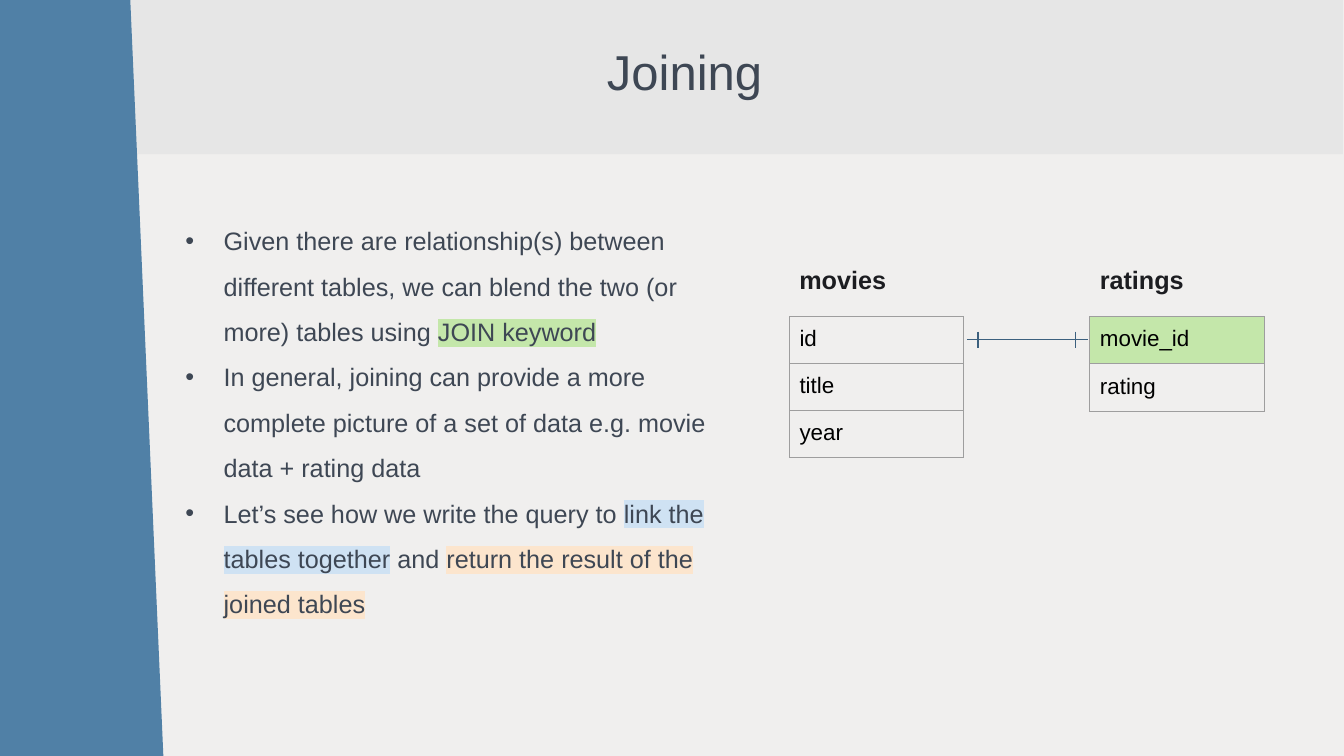
from dataclasses import dataclass

from pptx import Presentation
from pptx.dml.color import RGBColor
from pptx.enum.shapes import MSO_CONNECTOR, MSO_SHAPE
from pptx.enum.text import MSO_ANCHOR, MSO_AUTO_SIZE, PP_ALIGN
from pptx.oxml.ns import qn
from pptx.util import Inches, Pt
from lxml.etree import SubElement


@dataclass(frozen=True)
class Theme:
    """Colours, font and type sizes of the slide."""
    background: str = "F0EFEE"
    band: str = "E6E6E6"
    panel: str = "5080A6"
    text: str = "3E4754"
    heading: str = "1C1D21"
    cell_text: str = "000000"
    border: str = "9E9E9E"
    link: str = "3C607E"
    green: str = "C4E7AA"
    blue: str = "CFE2F3"
    orange: str = "FCE5CD"
    font: str = "Arial"
    title_size: int = 35
    body_size: int = 18
    cell_size: int = 16
    line_width: float = 0.75


THEME = Theme()
BULLETS = [
    [("Given there are relationship(s) between different tables, "
      "we can blend the two (or more) tables using ", None),
     ("JOIN keyword", THEME.green)],
    [("In general, joining can provide a more complete picture "
      "of a set of data e.g. movie data + rating data", None)],
    [("Let’s see how we write the query to ", None),
     ("link the tables together", THEME.blue),
     (" and ", None),
     ("return the result of the joined tables", THEME.orange)],
]
TABLE_TOP, TABLE_WIDTH = 3.14, 1.73


def rgb(color):
    """Turn a hex string into a colour."""
    return RGBColor.from_string(color)


def add_run(paragraph, text, size, color, bold=False, highlight=None):
    """Add one formatted run, optionally highlighted."""
    run = paragraph.add_run()
    run.text = text
    run.font.size = Pt(size)
    run.font.bold = bold
    run.font.color.rgb = rgb(color)
    run.font.name = THEME.font
    if highlight:
        properties = run.font._element
        mark = SubElement(properties, qn("a:highlight"))
        SubElement(mark, qn("a:srgbClr"), val=highlight)
        properties.find(qn("a:solidFill")).addnext(mark)


def add_backdrop(slide, preset, left, top, width, height, color, rotation=0):
    """Add a plain filled shape behind the title."""
    shape = slide.shapes.add_shape(
        preset, Inches(left), Inches(top), Inches(width), Inches(height))
    shape.rotation = rotation
    shape.shadow.inherit = False
    shape.fill.solid()
    shape.fill.fore_color.rgb = rgb(color)
    shape.line.fill.background()
    slide.shapes.title.element.addprevious(shape.element)


def set_title(slide, text):
    """Place and format the title placeholder."""
    title = slide.shapes.title
    title.left, title.top = Inches(1.17), Inches(0.16)
    title.width, title.height = Inches(11.24), Inches(1.16)
    frame = title.text_frame
    frame.auto_size = MSO_AUTO_SIZE.NONE
    frame.vertical_anchor = MSO_ANCHOR.MIDDLE
    paragraph = frame.paragraphs[0]
    paragraph.alignment = PP_ALIGN.CENTER
    paragraph.line_spacing = 0.9
    add_run(paragraph, text, THEME.title_size, THEME.text)


def add_text_frame(slide, left, top, width, height):
    """Add a wrapping text box and return its frame."""
    box = slide.shapes.add_textbox(
        Inches(left), Inches(top), Inches(width), Inches(height))
    box.text_frame.word_wrap = True
    return box.text_frame


def add_bullets(slide, bullets):
    """Add the bulleted body text."""
    frame = add_text_frame(slide, 1.62, 2.04, 5.6, 4.04)
    for index, runs in enumerate(bullets):
        paragraph = frame.add_paragraph() if index else frame.paragraphs[0]
        paragraph.line_spacing = 1.5
        properties = paragraph._p.get_or_add_pPr()
        properties.set("marL", str(Inches(0.5)))
        properties.set("indent", str(Inches(-0.38)))
        bullet_color = SubElement(properties, qn("a:buClr"))
        SubElement(bullet_color, qn("a:srgbClr"), val=THEME.text)
        SubElement(properties, qn("a:buFont"), typeface=THEME.font)
        SubElement(properties, qn("a:buChar"), char="•")
        for text, highlight in runs:
            add_run(paragraph, text, THEME.body_size, THEME.text, highlight=highlight)


def format_cell(cell, text, fill):
    """Write a cell and give it borders, margins and fill."""
    cell.margin_left = cell.margin_right = Inches(0.1)
    cell.margin_top = cell.margin_bottom = Inches(0.1)
    properties = cell._tc.get_or_add_tcPr()
    for side in ("lnL", "lnR", "lnT", "lnB"):
        border = SubElement(properties, qn(f"a:{side}"), w=str(Pt(THEME.line_width)))
        solid = SubElement(border, qn("a:solidFill"))
        SubElement(solid, qn("a:srgbClr"), val=THEME.border)
    if fill:
        cell.fill.solid()
        cell.fill.fore_color.rgb = rgb(fill)
    else:
        cell.fill.background()
    add_run(cell.text_frame.paragraphs[0], text, THEME.cell_size, THEME.cell_text)


def add_schema_table(slide, name, left, row_height, fields):
    """Add a named one-column table of (field, fill) pairs."""
    frame = add_text_frame(slide, left, 2.56, TABLE_WIDTH, 0.47)
    frame.margin_top = frame.margin_bottom = Inches(0.1)
    paragraph = frame.paragraphs[0]
    paragraph.line_spacing = 0.9
    add_run(paragraph, name, THEME.body_size, THEME.heading, bold=True)

    table = slide.shapes.add_table(
        len(fields), 1, Inches(left), Inches(TABLE_TOP),
        Inches(TABLE_WIDTH), Inches(row_height * len(fields))).table
    table.first_row = table.horz_banding = False
    for index, (field, fill) in enumerate(fields):
        format_cell(table.cell(index, 0), field, fill)


def add_line(slide, start_x, start_y, end_x, end_y):
    """Add a thin straight line."""
    line = slide.shapes.add_connector(
        MSO_CONNECTOR.STRAIGHT, Inches(start_x), Inches(start_y),
        Inches(end_x), Inches(end_y))
    line.line.color.rgb = rgb(THEME.link)
    line.line.width = Pt(THEME.line_width)
    SubElement(line.element.spPr, qn("a:effectLst"))


def add_one_to_one_link(slide, left, right, middle):
    """Add a relationship line with a tick near each end."""
    add_line(slide, left, middle, right, middle)
    for tick in (left + 0.11, right - 0.12):
        add_line(slide, tick, middle - 0.08, tick, middle + 0.08)


def main():
    """Build and save the slide."""
    presentation = Presentation()
    presentation.slide_width = Inches(13.33)
    presentation.slide_height = Inches(7.5)
    slide = presentation.slides.add_slide(presentation.slide_layouts[5])
    slide.background.fill.solid()
    slide.background.fill.fore_color.rgb = rgb(THEME.background)

    add_backdrop(slide, MSO_SHAPE.RECTANGLE, -0.01, -0.01, 13.33, 1.54, THEME.band)
    add_backdrop(slide, MSO_SHAPE.FLOWCHART_MANUAL_INPUT,
                 -2.95, 2.93, 7.5, 1.64, THEME.panel, rotation=90)
    set_title(slide, "Joining")
    add_bullets(slide, BULLETS)
    add_schema_table(slide, "movies", 7.83, 0.45,
                     [("id", None), ("title", None), ("year", None)])
    add_schema_table(slide, "ratings", 10.81, 0.47,
                     [("movie_id", THEME.green), ("rating", None)])
    add_one_to_one_link(slide, 9.59, 10.79, 3.37)
    presentation.save("out.pptx")


if __name__ == "__main__":
    main()
